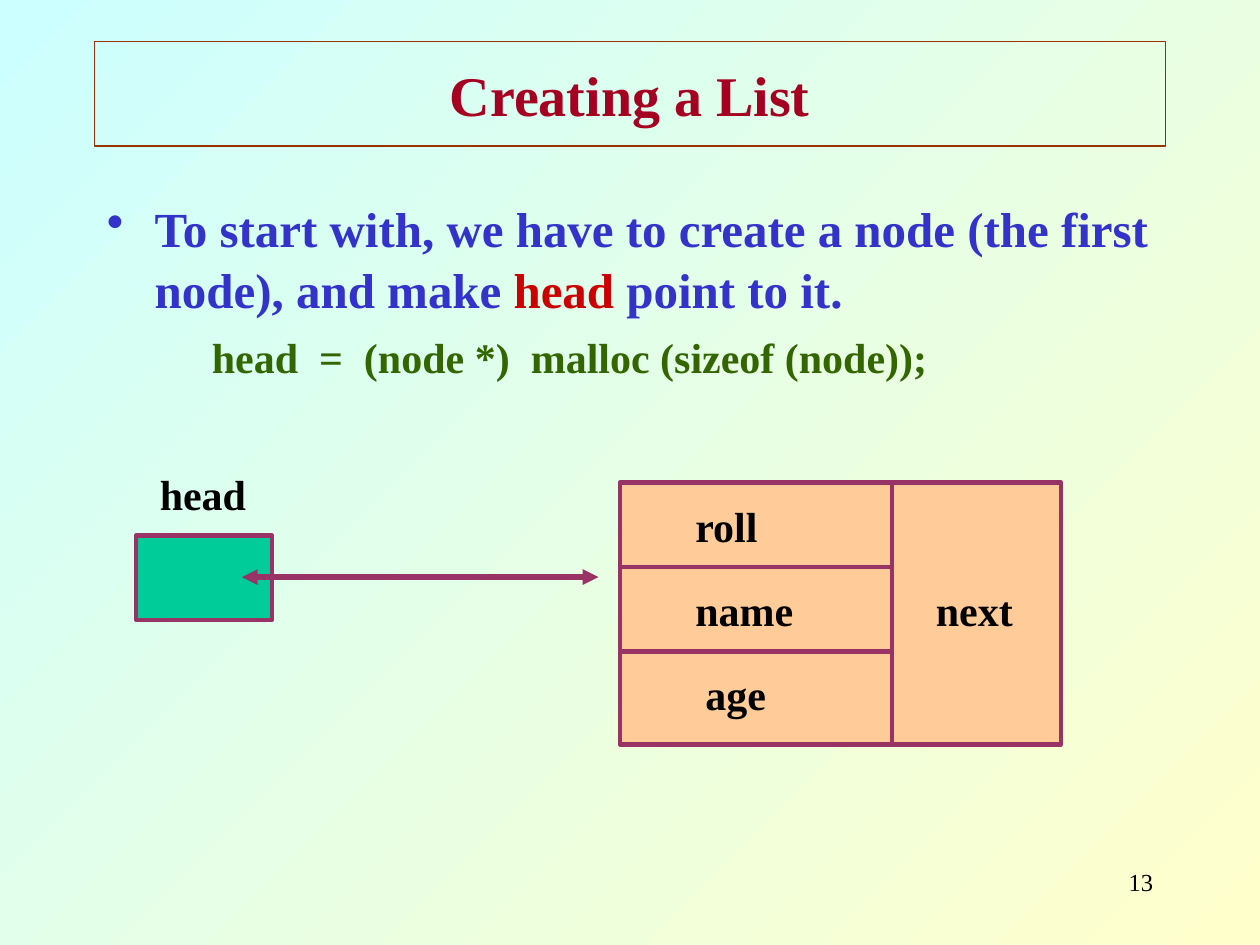
from dataclasses import dataclass

from lxml.etree import SubElement
from pptx import Presentation
from pptx.dml.color import RGBColor
from pptx.enum.shapes import MSO_CONNECTOR, MSO_SHAPE
from pptx.enum.text import MSO_ANCHOR, PP_ALIGN
from pptx.oxml.ns import qn
from pptx.util import Inches, Pt


@dataclass(frozen=True)
class Theme:
    font: str = "Times New Roman"
    title: str = "A50021"
    frame: str = "993300"
    body: str = "3333CC"
    keyword: str = "CC0000"
    code: str = "336600"
    text: str = "000000"
    outline: str = "993366"
    node: str = "FFCC99"
    pointer: str = "00CC99"
    corner_start: str = "FFFFCC"
    corner_end: str = "CCFFFF"
    title_size: int = 32
    body_size: int = 28
    label_size: int = 24
    number_size: int = 14


theme = Theme()


def style(font, size, color, bold=True):
    font.name = theme.font
    font.size = Pt(size)
    font.bold = bold
    font.color.rgb = RGBColor.from_string(color)


def add_line(slide, start, end, width):
    points = [Inches(value) for value in (*start, *end)]
    connector = slide.shapes.add_connector(MSO_CONNECTOR.STRAIGHT, *points)
    connector.line.color.rgb = RGBColor.from_string(theme.outline)
    connector.line.width = Pt(width)
    SubElement(connector._element.spPr, qn("a:effectLst"))
    return connector


presentation = Presentation()
presentation.slide_width = Inches(10)
presentation.slide_height = Inches(7.5)
slide = presentation.slides.add_slide(presentation.slide_layouts[5])

background = slide.background.fill
background.gradient()
background.gradient_angle = 135
for stop, color in zip(background.gradient_stops, (theme.corner_start, theme.corner_end)):
    stop.color.rgb = RGBColor.from_string(color)

title = slide.shapes.title
title.left, title.top = Inches(0.75), Inches(0.33)
title.width, title.height = Inches(8.5), Inches(0.83)
title.line.color.rgb = RGBColor.from_string(theme.frame)
title.line.width = Pt(0.75)
title.text_frame.text = "Creating a List"
title.text_frame.vertical_anchor = MSO_ANCHOR.MIDDLE
title.text_frame.paragraphs[0].alignment = PP_ALIGN.CENTER
style(title.text_frame.paragraphs[0].runs[0].font, theme.title_size, theme.title)

body = slide.shapes.add_textbox(Inches(0.75), Inches(1.5), Inches(8.5), Inches(5.17))
body.text_frame.word_wrap = True
statement = body.text_frame.paragraphs[0]
code = body.text_frame.add_paragraph()
code.level = 1
for paragraph, margin, indent in ((statement, 0.38, -0.38), (code, 0.81, -0.31)):
    properties = paragraph._p.get_or_add_pPr()
    properties.set("marL", str(Inches(margin)))
    properties.set("indent", str(Inches(indent)))
    paragraph.line_spacing = 1.05

bullet_properties = statement._p.get_or_add_pPr()
bullet_color = SubElement(bullet_properties, qn("a:buClr"))
SubElement(bullet_color, qn("a:srgbClr"), val=theme.body)
SubElement(bullet_properties, qn("a:buChar"), char="•")
SubElement(code._p.get_or_add_pPr(), qn("a:buNone"))
code.space_before = Pt(6)

for paragraph, text, size, color in (
    (statement, "To start with, we have to create a node (the first node), and make ",
     theme.body_size, theme.body),
    (statement, "head", theme.body_size, theme.keyword),
    (statement, " point to it.", theme.body_size, theme.body),
    (code, "    head  =  (node *)  malloc (sizeof (node));", theme.label_size, theme.code),
):
    run = paragraph.add_run()
    run.text = text
    style(run.font, size, color)

node_left, node_top, node_width, node_height = 4.92, 3.83, 3.5, 2.08
divider = 7.08
row_height = 0.67
for left, top, width, height, color in (
    (node_left, node_top, node_width, node_height, theme.node),
    (1.08, 4.25, 1.08, 0.67, theme.pointer),
):
    box = slide.shapes.add_shape(
        MSO_SHAPE.RECTANGLE, Inches(left), Inches(top), Inches(width), Inches(height))
    box.shadow.inherit = False
    box.fill.solid()
    box.fill.fore_color.rgb = RGBColor.from_string(color)
    box.line.color.rgb = RGBColor.from_string(theme.outline)
    box.line.width = Pt(2.5)

add_line(slide, (divider, node_top), (divider, node_top + node_height), 2.5)
for row in (1, 2):
    row_top = node_top + row * row_height
    add_line(slide, (node_left, row_top), (divider, row_top), 2.5)

arrow = add_line(slide, (1.92, 4.58), (4.75, 4.58), 3)
arrow_line = arrow.line._get_or_add_ln()
for end in ("a:headEnd", "a:tailEnd"):
    SubElement(arrow_line, qn(end), type="triangle")

field_top = 3.92
for text, left, top, width in (
    ("head", 1.17, 3.67, 1.17),
    ("next", 7.33, field_top + row_height, 1.67),
    ("roll", 5.42, field_top, 1.67),
    ("name", 5.42, field_top + row_height, 1.67),
    ("age", 5.5, field_top + 2 * row_height, 1.67),
):
    label = slide.shapes.add_textbox(Inches(left), Inches(top), Inches(width), Inches(0.5))
    label.text_frame.word_wrap = True
    label.text_frame.text = text
    style(label.text_frame.paragraphs[0].runs[0].font, theme.label_size, theme.text)

number = slide.shapes.add_textbox(Inches(7.17), Inches(6.83), Inches(2.08), Inches(0.5))
number.text_frame.word_wrap = True
number.text_frame.text = "13"
number.text_frame.paragraphs[0].alignment = PP_ALIGN.RIGHT
style(number.text_frame.paragraphs[0].runs[0].font, theme.number_size, theme.text, bold=False)

presentation.save("out.pptx")
